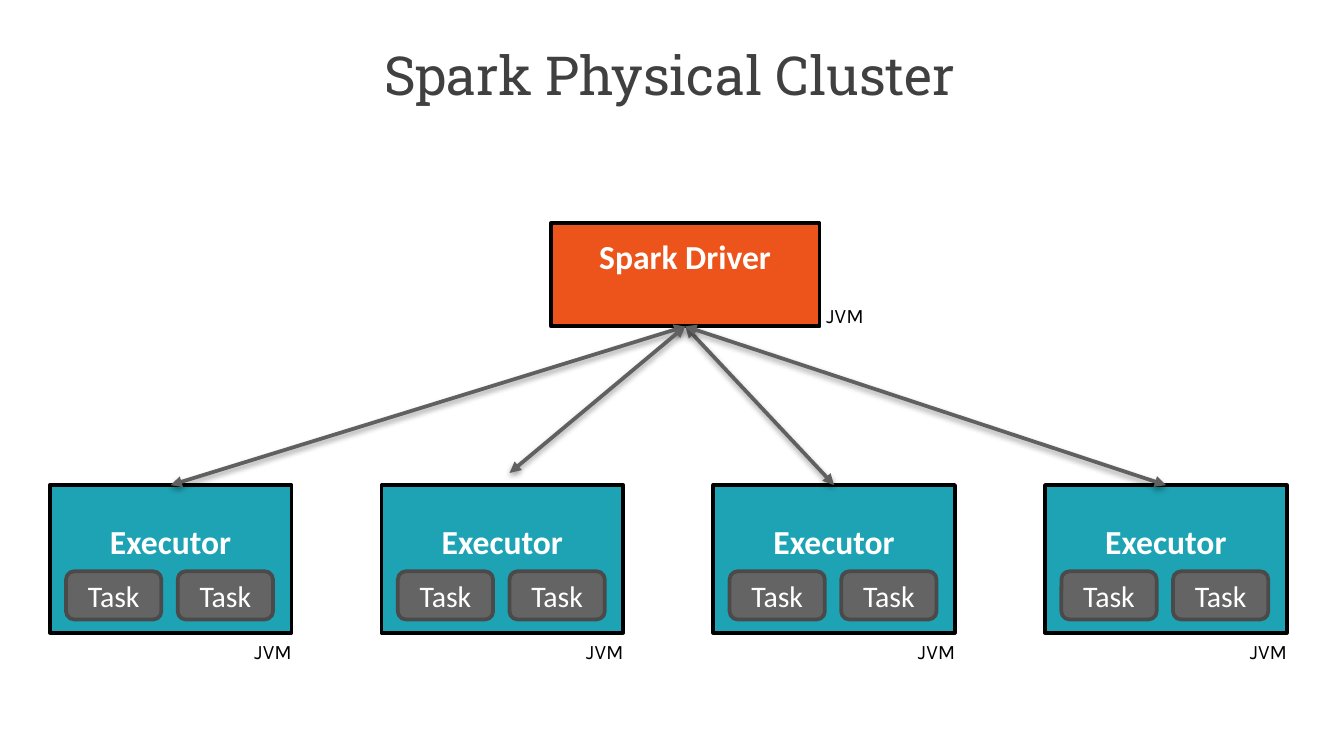
import pptx
import pptx.util
import pptx.dml.color
import pptx.enum.shapes
import pptx.enum.text
import pptx.oxml
import pptx.oxml.ns

Cm = pptx.util.Cm
Pt = pptx.util.Pt
RGBColor = pptx.dml.color.RGBColor
SHAPE = pptx.enum.shapes.MSO_SHAPE
ANCHOR = pptx.enum.text.MSO_ANCHOR
ALIGN = pptx.enum.text.PP_ALIGN

ORANGE = RGBColor(0xEC, 0x54, 0x1B)
TEAL = RGBColor(0x1E, 0xA3, 0xB5)
TASK_GREY = RGBColor(0x64, 0x64, 0x64)
TASK_EDGE = RGBColor(0x4A, 0x4A, 0x4A)
ARROW_GREY = RGBColor(0x60, 0x60, 0x60)
TITLE_GREY = RGBColor(0x40, 0x40, 0x40)
BLACK = RGBColor(0, 0, 0)
WHITE = RGBColor(0xFF, 0xFF, 0xFF)

ARROW_SHADOW = (
    f'<a:effectLst {pptx.oxml.ns.nsdecls("a")}>'
    '<a:outerShdw blurRad="40000" dist="20000" dir="5400000" rotWithShape="0">'
    '<a:srgbClr val="000000"><a:alpha val="38000"/></a:srgbClr>'
    '</a:outerShdw></a:effectLst>'
)


def add_run(paragraph, text, size, font, color, bold=False):
    run = paragraph.add_run()
    run.text = text
    run.font.size = Pt(size)
    run.font.name = font
    run.font.color.rgb = color
    run.font.bold = bold


def add_block(slide, preset, box, fill, edge, text, size, bold=False, text_top=None):
    """Filled block; text_top is the gap above the text, which is centred without it."""
    block = slide.shapes.add_shape(preset, *map(Cm, box))
    block.shadow.inherit = False
    block.fill.solid()
    block.fill.fore_color.rgb = fill
    block.line.color.rgb = edge
    block.line.width = Pt(2)
    frame = block.text_frame
    frame.vertical_anchor = ANCHOR.MIDDLE
    if text_top is not None:
        frame.vertical_anchor = ANCHOR.TOP
        frame.margin_top = Cm(text_top)
    frame.paragraphs[0].alignment = ALIGN.CENTER
    add_run(frame.paragraphs[0], text, size, "Calibri", WHITE, bold)
    return block


def add_jvm_label(slide, left, top):
    label = slide.shapes.add_textbox(Cm(left), Cm(top), Cm(1.57), Cm(0.74))
    label.text_frame.word_wrap = True
    add_run(label.text_frame.paragraphs[0], "JVM", 11, "Karla", BLACK)


def add_title(slide, box):
    title = slide.shapes.title
    title.left, title.top, title.width, title.height = map(Cm, box)
    frame = title.text_frame
    frame.vertical_anchor = ANCHOR.MIDDLE
    frame.paragraphs[0].alignment = ALIGN.CENTER
    add_run(frame.paragraphs[0], "Spark Physical Cluster", 28.8, "Roboto Slab", TITLE_GREY)


def add_driver(slide, box):
    left, top, width, height = box
    driver = add_block(slide, SHAPE.RECTANGLE, box, ORANGE, BLACK,
                       "Spark Driver", 18, True, text_top=0.24)
    add_jvm_label(slide, left + width - 0.12, top + height - 0.56)
    return driver


def add_executor(slide, box):
    left, top, width, height = box
    executor = add_block(slide, SHAPE.RECTANGLE, box, TEAL, BLACK,
                         "Executor", 18, True, text_top=0.67)
    for task in range(2):
        task_box = (left + 0.31 + task * 2.11, top + 1.63, 1.8, 0.91)
        add_block(slide, SHAPE.ROUNDED_RECTANGLE, task_box, TASK_GREY, TASK_EDGE, "Task", 16)
    add_jvm_label(slide, left + width - 0.95, top + height)
    return executor


def add_arrow(slide, driver, executor=None, end=(0, 0)):
    """Two-headed arrow from the driver to an executor, or to a free end point."""
    arrow = slide.shapes.add_connector(
        pptx.enum.shapes.MSO_CONNECTOR.STRAIGHT, 0, 0, *map(Cm, end))
    arrow.begin_connect(driver, 2)
    if executor is not None:
        arrow.end_connect(executor, 0)
    arrow.line.color.rgb = ARROW_GREY
    arrow.line.width = Pt(2)
    line = arrow.line._get_or_add_ln()
    for tip in ("headEnd", "tailEnd"):
        line.append(pptx.oxml.parse_xml(
            f'<a:{tip} {pptx.oxml.ns.nsdecls("a")} type="triangle"/>'))
    arrow._element.spPr.append(pptx.oxml.parse_xml(ARROW_SHADOW))


def main():
    deck = pptx.Presentation()
    deck.slide_width, deck.slide_height = Cm(25.4), Cm(14.29)
    slide = deck.slides.add_slide(deck.slide_layouts[5])

    add_title(slide, (1.19, 0.69, 22.94, 1.4))
    driver = add_driver(slide, (10.41, 4.22, 5.08, 1.95))
    executors = [add_executor(slide, (0.94 + column * 6.27, 9.17, 4.57, 2.79))
                 for column in range(4)]

    # The second arrow stops short of its executor
    for column, executor in enumerate(executors):
        if column == 1:
            add_arrow(slide, driver, end=(9.63, 8.94))
        else:
            add_arrow(slide, driver, executor)

    deck.save("out.pptx")


if __name__ == "__main__":
    main()
